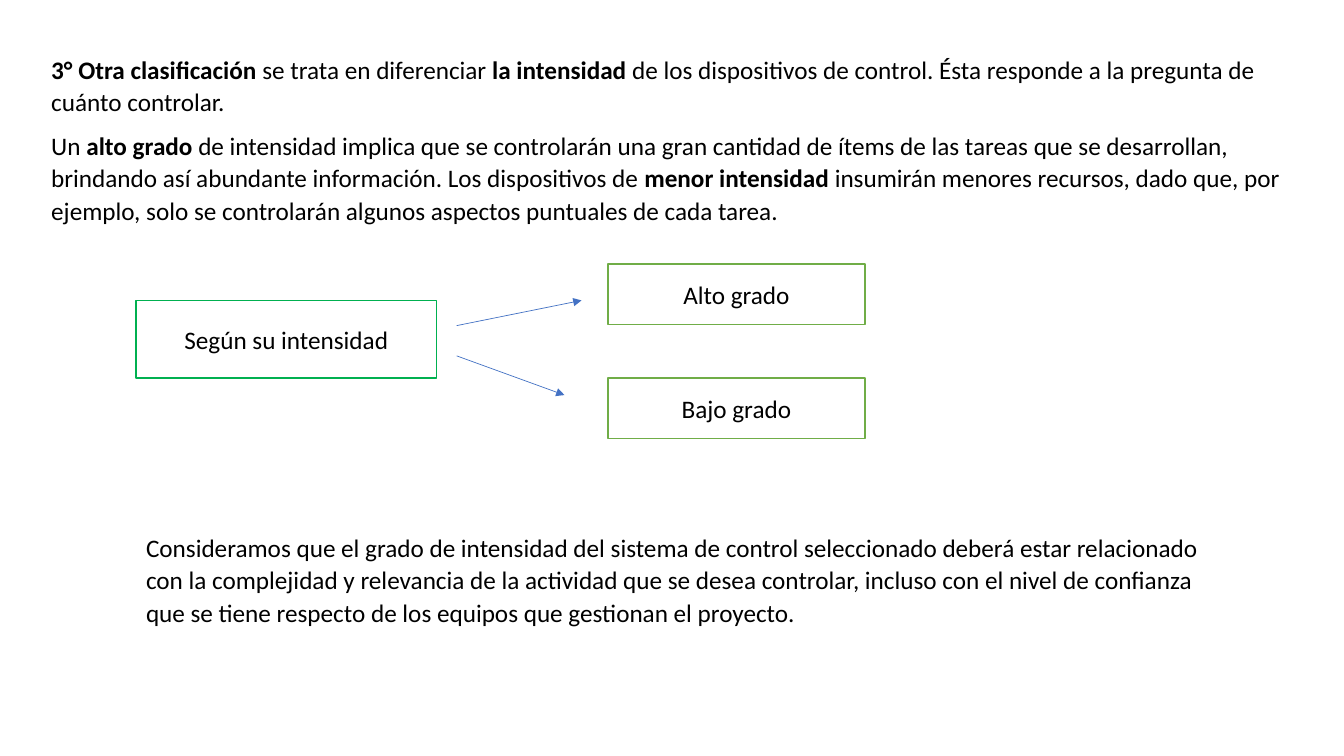
import pptx
import pptx.util
import pptx.dml.color
import pptx.enum.shapes
import pptx.enum.text
import pptx.oxml
import pptx.oxml.ns

Pt = pptx.util.Pt
RGB = pptx.dml.color.RGBColor
BLACK = RGB(0x00, 0x00, 0x00)
WHITE = RGB(0xFF, 0xFF, 0xFF)
GREEN = RGB(0x00, 0xB0, 0x50)
OLIVE = RGB(0x70, 0xAD, 0x47)
BLUE = RGB(0x44, 0x72, 0xC4)


class Page:
    """Holds the text style and the current slide."""
    face, size = "Calibri", Pt(18)

    def __init__(self, slide):
        self.shapes = slide.shapes

    def style(self, para):
        para.font.name = self.face
        para.font.size = self.size
        para.font.color.rgb = BLACK

    def prose(self, left, top, width, height, paras):
        """Text box; words between asterisks are bold."""
        frame = self.shapes.add_textbox(
            Pt(left), Pt(top), Pt(width), Pt(height)).text_frame
        frame.word_wrap = True
        for i, text in enumerate(paras):
            para = frame.add_paragraph() if i else frame.paragraphs[0]
            para.line_spacing = 1.07
            para.space_after = Pt(8)
            self.style(para)
            for j, part in enumerate(text.split("*")):
                if part:
                    run = para.add_run()
                    run.text = part
                    if j % 2:
                        run.font.bold = True

    def box(self, left, top, width, height, text, color):
        box = self.shapes.add_shape(
            pptx.enum.shapes.MSO_SHAPE.RECTANGLE,
            Pt(left), Pt(top), Pt(width), Pt(height))
        box.shadow.inherit = False
        box.fill.solid()
        box.fill.fore_color.rgb = WHITE
        box.line.color.rgb = color
        box.line.width = Pt(1)
        frame = box.text_frame
        frame.text = text
        frame.vertical_anchor = pptx.enum.text.MSO_ANCHOR.MIDDLE
        para = frame.paragraphs[0]
        para.alignment = pptx.enum.text.PP_ALIGN.CENTER
        self.style(para)

    def arrow(self, x1, y1, x2, y2):
        line = self.shapes.add_connector(
            pptx.enum.shapes.MSO_CONNECTOR.STRAIGHT,
            Pt(x1), Pt(y1), Pt(x2), Pt(y2))
        line.line.color.rgb = BLUE
        line.line.width = Pt(0.5)
        make = pptx.oxml.parse_xml
        space = pptx.oxml.ns.nsdecls("a")
        line.line._get_or_add_ln().append(
            make(f'<a:tailEnd {space} type="triangle"/>'))
        line._element.spPr.append(make(f"<a:effectLst {space}/>"))


deck = pptx.Presentation()
deck.slide_width, deck.slide_height = Pt(960), Pt(540)
page = Page(deck.slides.add_slide(deck.slide_layouts[6]))

# Introduction
page.prose(29.5, 33.8, 900.7, 131, [
    "*3° Otra clasificación* se trata en diferenciar *la intensidad* de los "
    "dispositivos de control. Ésta responde a la pregunta de cuánto controlar.",
    "Un *alto grado* de intensidad implica que se controlarán una gran "
    "cantidad de ítems de las tareas que se desarrollan, brindando así "
    "abundante información. Los dispositivos de *menor intensidad* insumirán "
    "menores recursos, dado que, por ejemplo, solo se controlarán algunos "
    "aspectos puntuales de cada tarea."])

# Intensity and its two grades
LEFT = 97.2
page.box(LEFT, 214.6, 214.6, 55.4, "Según su intensidad", GREEN)
for i, grade in enumerate(["Alto grado", "Bajo grado"]):
    page.box(434.2, 188.6 + i * 81.4, 183.6, 43.2, grade, OLIVE)
page.arrow(326.2, 232.6, 415.4, 214.6)
page.arrow(326.2, 254.2, 403.2, 282.2)

# Conclusion
page.prose(LEFT, 375.1, 783.4, 76.3, [
    "Consideramos que el grado de intensidad del sistema de control "
    "seleccionado deberá estar relacionado con la complejidad y relevancia "
    "de la actividad que se desea controlar, incluso con el nivel de "
    "confianza que se tiene respecto de los equipos que gestionan el "
    "proyecto."])

deck.save("out.pptx")
